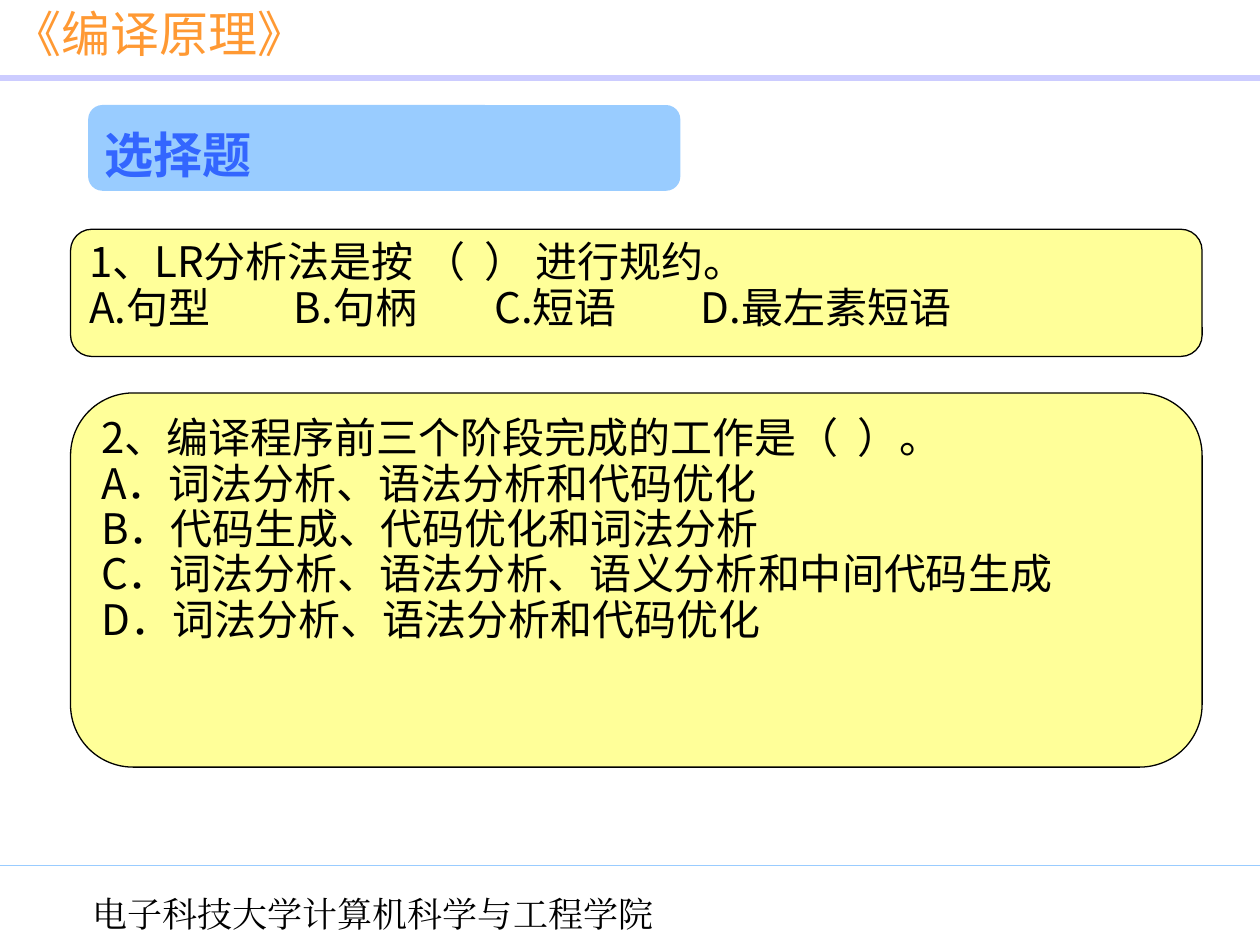
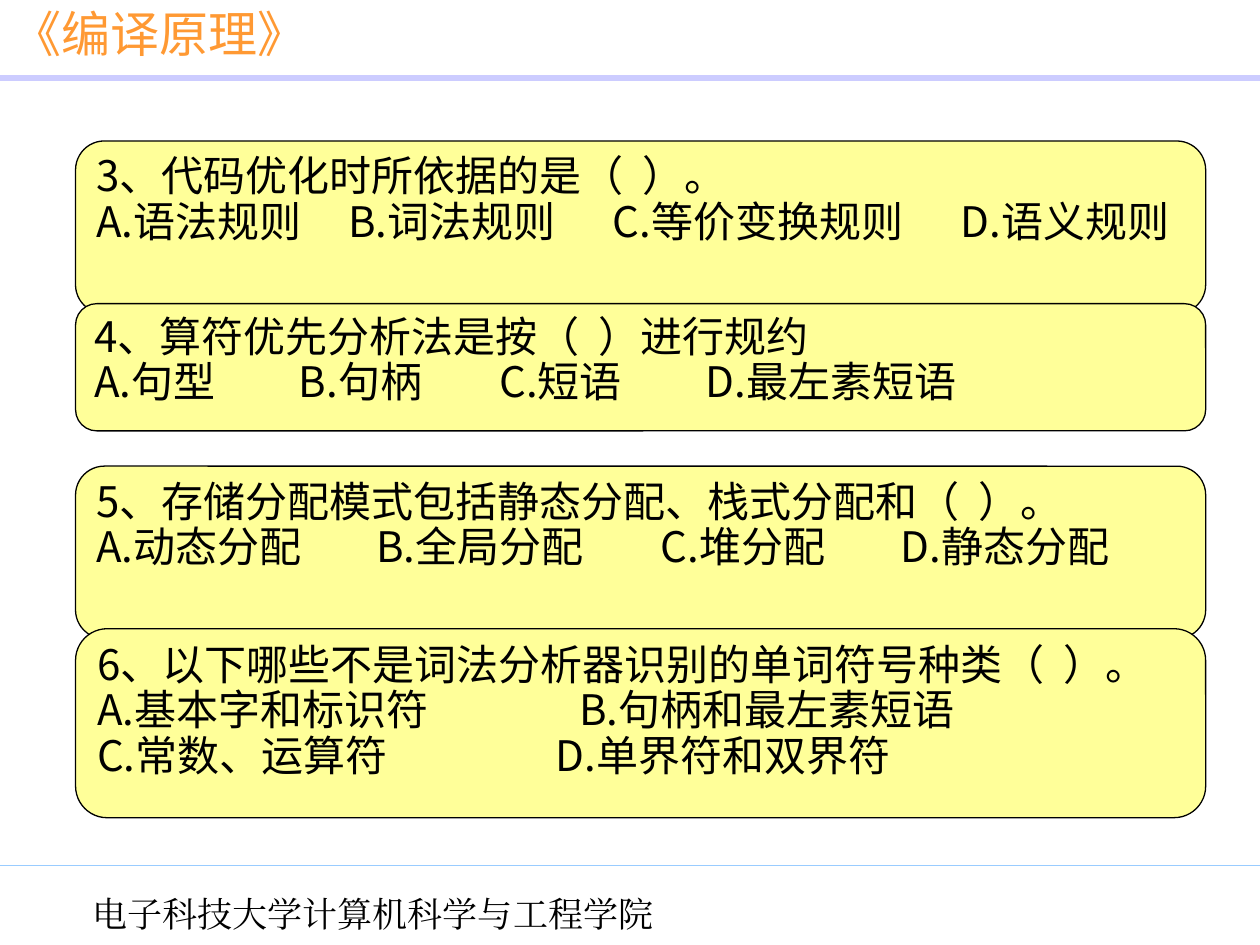
"""Build two quiz slides for the compiler principles course."""
import pptx
import pptx.dml.color
import pptx.enum.shapes
import pptx.enum.text
import pptx.oxml
import pptx.oxml.ns
import pptx.util
from lxml import etree

Pt = pptx.util.Pt
RGBColor = pptx.dml.color.RGBColor
ALIGN = pptx.enum.text.PP_ALIGN
ANCHOR = pptx.enum.text.MSO_ANCHOR

ORANGE = RGBColor(0xFF, 0x99, 0x33)
LAVENDER = RGBColor(0xCC, 0xCC, 0xFF)
SKY = RGBColor(0x99, 0xCC, 0xFF)
BLUE = RGBColor(0x33, 0x66, 0xFF)
YELLOW = RGBColor(0xFF, 0xFF, 0x99)
BLACK = RGBColor(0x00, 0x00, 0x00)

BODY_FONT = "Noto Sans CJK SC"
COURSE_FONT = "Noto Sans CJK JP"
SCHOOL_FONT = "Times New Roman"

SLIDE_WIDTH, SLIDE_HEIGHT = 720, 540
CORNER = 0.167
PHRASE_TABS = (117, 231.5, 349.5)
PHRASE_OPTIONS = ("A.句型\tB.句柄\tC.短语\tD.最左素短语", PHRASE_TABS)

FIRST_QUESTIONS = [
    (131, 72.7, [("1、LR分析法是按 （  ） 进行规约。", ()), PHRASE_OPTIONS]),
    (224.6, 213.8, [
        ("2、编译程序前三个阶段完成的工作是（  ）。", ()),
        ("A．词法分析、语法分析和代码优化", ()),
        ("B．代码生成、代码优化和词法分析", ()),
        ("C．词法分析、语法分析、语义分析和中间代码生成", ()),
        ("D．词法分析、语法分析和代码优化", ()),
    ]),
]
SECOND_TOP, SECOND_PITCH = 80.6, 92.9
SECOND_QUESTIONS = [
    (98.6, [
        ("3、代码优化时所依据的是（  ）。", ()),
        ("A.语法规则\tB.词法规则\tC.等价变换规则\tD.语义规则", (144, 295, 494)),
    ]),
    (72.7, [("4、算符优先分析法是按（  ）进行规约", ()), PHRASE_OPTIONS]),
    (98.6, [
        ("5、存储分配模式包括静态分配、栈式分配和（  ）。", ()),
        ("A.动态分配\tB.全局分配\tC.堆分配\tD.静态分配", (160, 322.5, 459.5)),
    ]),
    (108, [
        ("6、以下哪些不是词法分析器识别的单词符号种类（  ）。", ()),
        ("A.基本字和标识符\tB.句柄和最左素短语", (275.5,)),
        ("C.常数、运算符\tD.单界符和双界符", (262,)),
    ]),
]


def add_tabs(paragraph, positions):
    """Give a paragraph left tab stops at the positions."""
    stops = etree.SubElement(paragraph._p.get_or_add_pPr(), pptx.oxml.ns.qn("a:tabLst"))
    for position in positions:
        etree.SubElement(stops, pptx.oxml.ns.qn("a:tab"), pos=str(int(Pt(position))), algn="l")


def write(frame, lines, size=24, font=BODY_FONT, color=BLACK, bold=False,
          align=ALIGN.LEFT, anchor=ANCHOR.TOP, spacing=0.9):
    """Fill a text frame with (text, tab positions) lines in one format."""
    frame.word_wrap = True
    frame.vertical_anchor = anchor
    for index, (text, tabs) in enumerate(lines):
        paragraph = frame.add_paragraph() if index else frame.paragraphs[0]
        if tabs:
            add_tabs(paragraph, tabs)
        paragraph.alignment = align
        paragraph.line_spacing = spacing
        run = paragraph.add_run()
        run.text = text
        run.font.size = Pt(size)
        run.font.bold = bold
        run.font.color.rgb = color
        run.font.name = font
        etree.SubElement(run._r.get_or_add_rPr(), pptx.oxml.ns.qn("a:ea"), typeface=font)


def add_rule(slide, top, color, width):
    """Draw a line across the whole slide."""
    rule = slide.shapes.add_connector(
        pptx.enum.shapes.MSO_CONNECTOR.STRAIGHT, 0, Pt(top), Pt(SLIDE_WIDTH), Pt(top))
    rule.line.color.rgb = color
    rule.line.width = Pt(width)
    etree.SubElement(rule._element.spPr, pptx.oxml.ns.qn("a:effectLst"))


def add_label(slide, text, top, width, height, **style):
    """Place a one-line text box at the left edge of the slide."""
    label = slide.shapes.add_textbox(0, Pt(top), Pt(width), Pt(height))
    write(label.text_frame, [(text, ())], anchor=ANCHOR.MIDDLE, **style)


def add_panel(slide, left, top, width, height, fill, outline=None):
    """Add a rounded panel and return its text frame."""
    panel = slide.shapes.add_shape(
        pptx.enum.shapes.MSO_SHAPE.ROUNDED_RECTANGLE,
        Pt(left), Pt(top), Pt(width), Pt(height))
    panel.adjustments[0] = CORNER
    panel.shadow.inherit = False
    panel.fill.solid()
    panel.fill.fore_color.rgb = fill
    if outline is None:
        panel.line.fill.background()
    else:
        panel.line.color.rgb = outline
        panel.line.width = Pt(0.75)
    return panel.text_frame


def add_question(slide, left, top, width, height, lines):
    """Add a yellow panel holding a question and its options."""
    question = add_panel(slide, left, top, width, height, YELLOW, BLACK)
    write(question, lines, align=ALIGN.JUSTIFY)


def add_course_slide(deck):
    """Add a blank slide with the course header and school footer."""
    slide = deck.slides.add_slide(deck.slide_layouts[6])
    add_rule(slide, 44.6, LAVENDER, 3)
    add_rule(slide, 494.6, SKY, 0.75)
    add_label(slide, "《编译原理》", 0, 270, 41.8, size=28, font=COURSE_FONT, color=ORANGE)
    add_label(slide, "电子科技大学计算机科学与工程学院", 504, 426.2, 36,
              size=20, font=SCHOOL_FONT, align=ALIGN.CENTER, spacing=1.0)
    return slide


def main():
    """Build and save the deck."""
    deck = pptx.Presentation()
    deck.slide_width, deck.slide_height = Pt(SLIDE_WIDTH), Pt(SLIDE_HEIGHT)

    first = add_course_slide(deck)
    heading = add_panel(first, 50.4, 60, 338.4, 49, SKY)
    write(heading, [("选择题", ())], size=28, color=BLUE, bold=True,
          anchor=ANCHOR.MIDDLE, spacing=1.2)
    for top, height, lines in FIRST_QUESTIONS:
        add_question(first, 40.3, top, 646.6, height, lines)

    second = add_course_slide(deck)
    for row, (height, lines) in enumerate(SECOND_QUESTIONS):
        add_question(second, 43.2, SECOND_TOP + row * SECOND_PITCH, 645.8, height, lines)

    deck.save("out.pptx")


if __name__ == "__main__":
    main()
